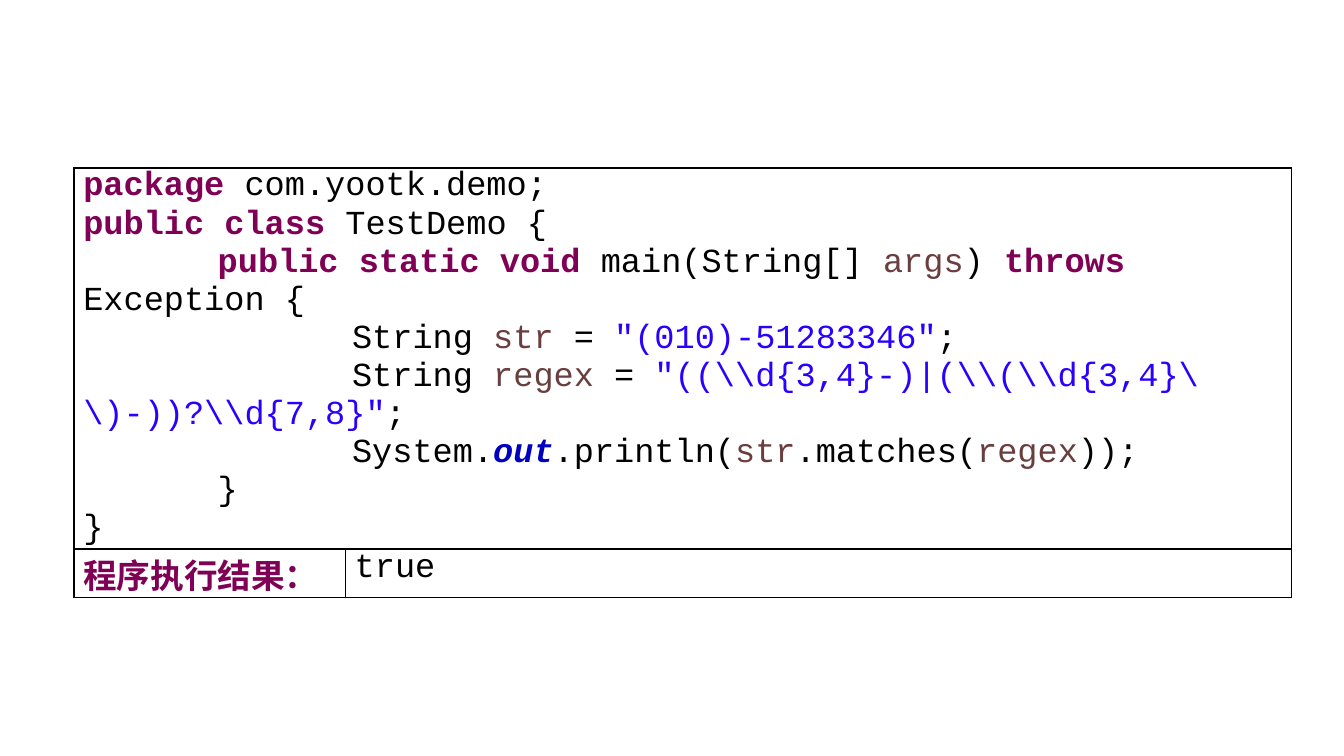
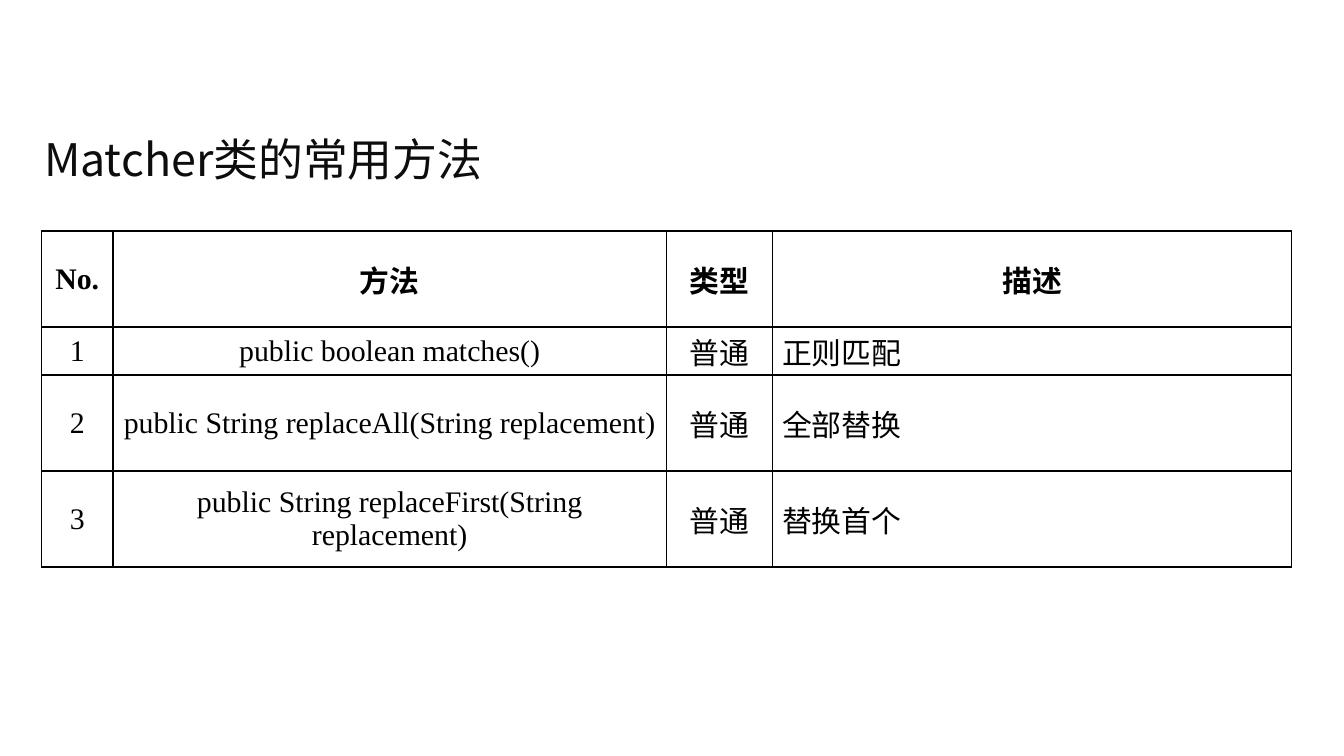
import pptx
import pptx.util
import pptx.dml.color
import pptx.enum.text
from lxml import etree
from pptx.oxml.ns import qn

Inches = pptx.util.Inches
ALIGN = pptx.enum.text.PP_ALIGN
ANCHOR = pptx.enum.text.MSO_ANCHOR

COLORS = {
    "black": "000000",
    "title": "0D0D0D",
    "keyword": "7F0055",
    "variable": "6A3E3E",
    "string": "2A00FF",
    "static": "0000C0",
}
CJK_FONT = "Noto Sans CJK SC"
CODE_FONT = "Courier New"
TABLE_FONT = "Times New Roman"
CODE_TABS = (1, 2)

PLAIN = {}
KEYWORD = {"color": "keyword", "bold": True}
VARIABLE = {"color": "variable"}
STRING = {"color": "string"}
STATIC = {"color": "static", "bold": True, "italic": True}

CODE = [
    [("package", KEYWORD), (" com.yootk.demo;", PLAIN)],
    [("public class", KEYWORD), (" TestDemo {", PLAIN)],
    [("\t", PLAIN), ("public static void", KEYWORD), (" main(String[] ", PLAIN),
     ("args", VARIABLE), (") ", PLAIN), ("throws", KEYWORD), (" Exception {", PLAIN)],
    [("\t\tString ", PLAIN), ("str", VARIABLE), (" = ", PLAIN),
     ('"(010)-51283346"', STRING), (";", PLAIN)],
    [("\t\tString ", PLAIN), ("regex", VARIABLE), (" = ", PLAIN),
     (r'"((\\d{3,4}-)|(\\(\\d{3,4}\\)-))?\\d{7,8}"', STRING), (";", PLAIN)],
    [("\t\tSystem.", PLAIN), ("out", STATIC), (".println(", PLAIN), ("str", VARIABLE),
     (".matches(", PLAIN), ("regex", VARIABLE), ("));", PLAIN)],
    [("\t}", PLAIN)],
    [("}", PLAIN)],
]
RESULT_LABEL = [[("程序执行结果：", KEYWORD)]]
RESULT = [[("true", PLAIN)]]

TITLE = "Matcher类的常用方法"
HEADER = ("No.", "方法", "类型", "描述")
METHODS = [
    ("1", "public boolean matches()", "普通", "正则匹配"),
    ("2", "public String replaceAll(String replacement)", "普通", "全部替换"),
    ("3", "public String replaceFirst(String replacement)", "普通", "替换首个"),
]
METHODS_HEIGHT = 2.5
ROW_SHARES = (2, 1, 2, 2)


def add_text(paragraph, text, font, size, color="black", bold=False, italic=False):
    run = paragraph.add_run()
    run.text = text
    run.font.name = font
    run.font.size = pptx.util.Pt(size)
    run.font.bold = bold
    run.font.italic = italic
    run.font.color.rgb = pptx.dml.color.RGBColor.from_string(COLORS[color])
    etree.SubElement(run.font._element, qn("a:ea"), typeface=CJK_FONT)


def add_tab_stops(paragraph, stops):
    tabs = etree.SubElement(paragraph._p.get_or_add_pPr(), qn("a:tabLst"))
    for stop in stops:
        etree.SubElement(tabs, qn("a:tab"), pos=str(Inches(stop)), algn="l")


def fill_cell(cell, lines, font, size, align=None, anchor=ANCHOR.TOP, tabs=()):
    """Write lines, each a list of (text, format) pairs, into a cell."""
    cell.vertical_anchor = anchor
    for number, line in enumerate(lines):
        frame = cell.text_frame
        paragraph = frame.add_paragraph() if number else frame.paragraphs[0]
        paragraph.alignment = align
        if tabs:
            add_tab_stops(paragraph, tabs)
        for text, style in line:
            add_text(paragraph, text, font, size, **style)


def add_grid(slide, left, top, widths, heights):
    """Add an unfilled table with thin black borders on every cell."""
    table = slide.shapes.add_table(
        len(heights), len(widths), Inches(left), Inches(top),
        Inches(sum(widths)), Inches(sum(heights))).table
    table.first_row = table.horz_banding = False
    for column, width in zip(table.columns, widths):
        column.width = Inches(width)
    for row, height in zip(table.rows, heights):
        row.height = Inches(height)
    for cell in table.iter_cells():
        cell.margin_left = cell.margin_right = Inches(0.07)
        cell.margin_top = cell.margin_bottom = 0
        cell.fill.background()
        properties = cell._tc.get_or_add_tcPr()
        for position, side in enumerate("LRTB"):
            border = etree.Element(qn(f"a:ln{side}"), w=str(pptx.util.Pt(1)))
            fill = etree.SubElement(border, qn("a:solidFill"))
            etree.SubElement(fill, qn("a:srgbClr"), val=COLORS["black"])
            properties.insert(position, border)
    return table


def add_code_slide(slide):
    table = add_grid(slide, 0.55, 1.25, [2.02, 7.04], [2.78, 0.35])
    table.cell(0, 0).merge(table.cell(0, 1))
    fill_cell(table.cell(0, 0), CODE, CODE_FONT, 18, tabs=CODE_TABS)
    fill_cell(table.cell(1, 0), RESULT_LABEL, CODE_FONT, 18)
    fill_cell(table.cell(1, 1), RESULT, CODE_FONT, 18)


def add_methods_slide(slide):
    title = slide.shapes.add_textbox(
        Inches(0.23), Inches(0.86), Inches(9.53), Inches(0.64)).text_frame
    title.word_wrap = True
    title.vertical_anchor = ANCHOR.MIDDLE
    add_text(title.paragraphs[0], TITLE, CJK_FONT, 24, color="title")

    heights = [METHODS_HEIGHT * share / sum(ROW_SHARES) for share in ROW_SHARES]
    table = add_grid(slide, 0.31, 1.72, [0.53, 4.12, 0.79, 3.86], heights)
    description = len(HEADER) - 1
    for row, values in enumerate([HEADER] + METHODS):
        for column, text in enumerate(values):
            justified = row > 0 and column == description
            fill_cell(table.cell(row, column), [[(text, {"bold": row == 0})]], TABLE_FONT, 16,
                      align=ALIGN.JUSTIFY if justified else ALIGN.CENTER,
                      anchor=ANCHOR.MIDDLE)


def main():
    deck = pptx.Presentation()
    deck.slide_width = Inches(10)
    deck.slide_height = Inches(10 * 9 / 16)
    for build in (add_code_slide, add_methods_slide):
        build(deck.slides.add_slide(deck.slide_layouts[6]))
    deck.save("out.pptx")


if __name__ == "__main__":
    main()
